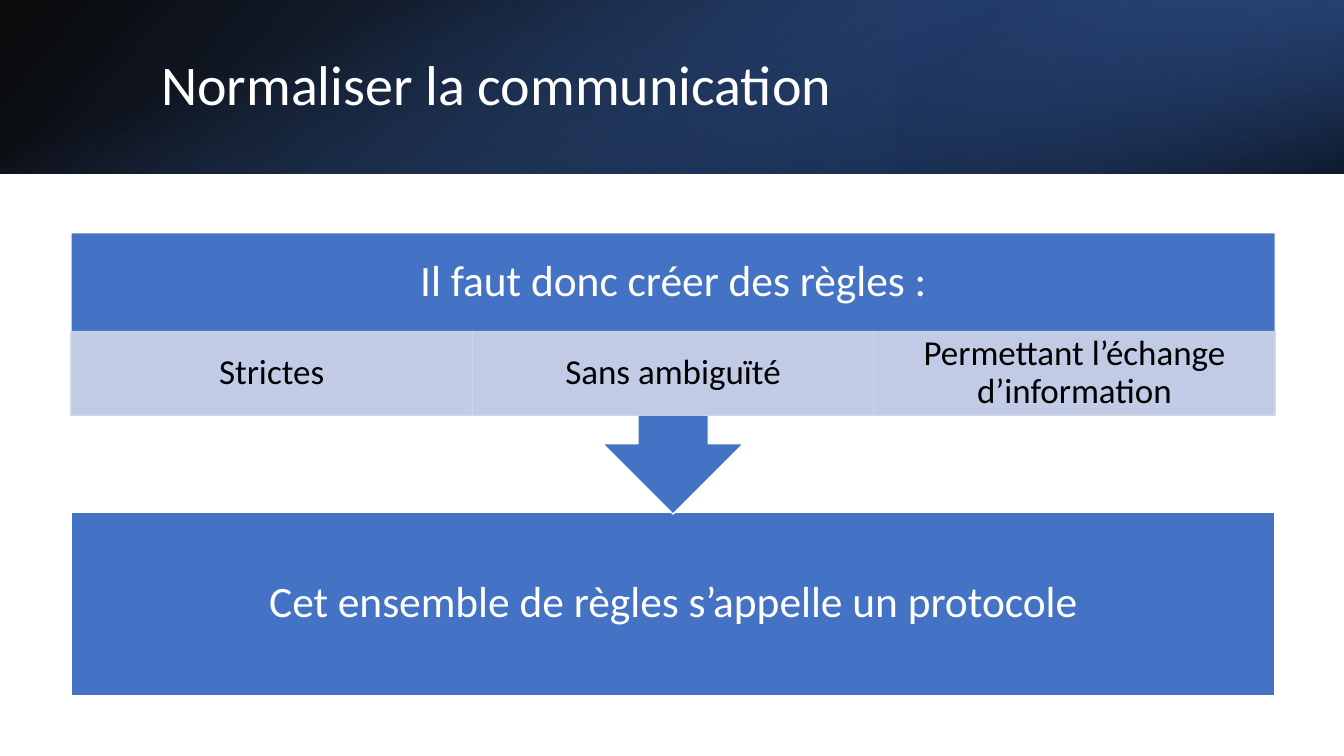
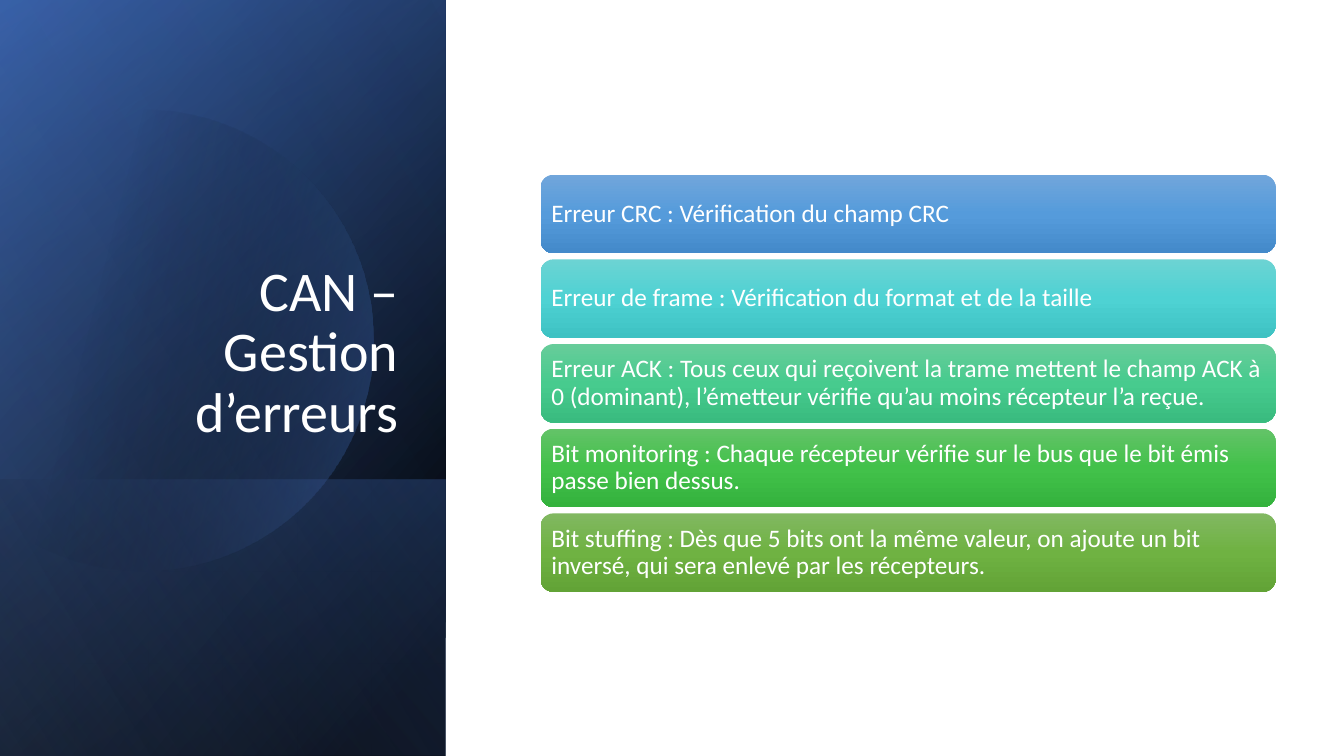
from dataclasses import dataclass
from math import acos, cos, sin

from lxml import etree
from pptx import Presentation
from pptx.dml.color import RGBColor
from pptx.enum.shapes import MSO_SHAPE
from pptx.enum.text import MSO_ANCHOR, MSO_AUTO_SIZE, PP_ALIGN
from pptx.oxml.ns import qn
from pptx.util import Inches, Pt

RECTANGLE = MSO_SHAPE.RECTANGLE
ROUNDED = MSO_SHAPE.ROUNDED_RECTANGLE
CALLOUT = MSO_SHAPE.DOWN_ARROW_CALLOUT
MIDDLE, BOTTOM = MSO_ANCHOR.MIDDLE, MSO_ANCHOR.BOTTOM
LEFT, CENTER, RIGHT = PP_ALIGN.LEFT, PP_ALIGN.CENTER, PP_ALIGN.RIGHT
NO_AUTOFIT = MSO_AUTO_SIZE.NONE
FONT = "Calibri"
TITLE_SIZE = 40
TITLE_ONLY = 5
COLORS = {
    "white": "FFFFFF",
    "black": "000000",
    "blue": "4472C4",
    "deep": "2F5597",
    "navy": "203864",
    "sky": "8FAADC",
    "pale": "CFD5EA",
}
ERRORS = [
    ("Erreur CRC : Vérification du champ CRC", ("71A6DB", "559BDB", "448ACA")),
    ("Erreur de frame : Vérification du format et de la taille",
     ("6CD3D3", "4ED2D3", "3EC2C3")),
    ("Erreur ACK : Tous ceux qui reçoivent la trame mettent le champ ACK à 0 "
     "(dominant), l’émetteur vérifie qu’au moins récepteur l’a reçue.",
     ("67CC9A", "47CB8E", "39BB7F")),
    ("Bit monitoring : Chaque récepteur vérifie sur le bus que le bit émis "
     "passe bien dessus.", ("63C368", "42C14A", "34B23D")),
    ("Bit stuffing : Dès que 5 bits ont la même valeur, on ajoute un bit "
     "inversé, qui sera enlevé par les récepteurs.",
     ("81B861", "6FB242", "62A336")),
]


@dataclass
class Box:
    left: float
    top: float
    width: float
    height: float

    def percent(self, left, top, width, height):
        return Box(self.left + self.width * left / 100,
                   self.top + self.height * top / 100,
                   self.width * width / 100, self.height * height / 100)

    def turned(self):
        shift = (self.width - self.height) / 2
        return Box(self.left + shift, self.top - shift, self.height, self.width)

    def inches(self):
        return [Inches(length) for length in
                (self.left, self.top, self.width, self.height)]


PAGE = Box(0, 0, 13.33, 7.5)


def set_alpha(color_element, percent):
    alpha = etree.SubElement(color_element, qn("a:alpha"))
    alpha.set("val", str(percent * 1000))


def fill_gradient(shape, stops, angle):
    shape.fill.gradient()
    gradient = shape.element.spPr.find(qn("a:gradFill"))
    gradient.clear()
    gradient.set("rotWithShape", "1")
    stop_list = etree.SubElement(gradient, qn("a:gsLst"))
    for position, color, alpha in stops:
        stop = etree.SubElement(stop_list, qn("a:gs"), pos=str(position * 1000))
        value = etree.SubElement(stop, qn("a:srgbClr"),
                                 val=COLORS.get(color, color))
        if alpha < 100:
            set_alpha(value, alpha)
    etree.SubElement(gradient, qn("a:lin"), ang=str(angle * 60000), scaled="0")


def add_plain(slide, kind, box):
    shape = slide.shapes.add_shape(kind, *box.inches())
    shape.shadow.inherit = False
    shape.line.fill.background()
    return shape


def add_solid(slide, kind, box, color, alpha=100):
    shape = add_plain(slide, kind, box)
    shape.line.width = Pt(1)
    for paint, name in ((shape.fill, color),
                        (shape.line.fill, "white" if alpha == 100 else color)):
        paint.solid()
        paint.fore_color.rgb = RGBColor.from_string(COLORS[name])
    if alpha < 100:
        for value in shape.element.spPr.iter(qn("a:srgbClr")):
            set_alpha(value, alpha)
    return shape


def add_layer(slide, box, stops, angle, turn=0, flip=True):
    frame = box.turned() if turn == 90 else box
    layer = add_plain(slide, RECTANGLE, frame)
    layer.rotation = turn
    if flip:
        layer.element.spPr.find(qn("a:xfrm")).set("flipH", "1")
    fill_gradient(layer, stops, angle)


def write(shape, text, size, color="white", align=CENTER, anchor=MIDDLE,
          insets=(0.1, 0.05, 0.1, 0.05)):
    frame = shape.text_frame
    frame.text = text
    frame.word_wrap = True
    frame.auto_size = NO_AUTOFIT
    frame.vertical_anchor = anchor
    (frame.margin_left, frame.margin_top,
     frame.margin_right, frame.margin_bottom) = map(Inches, insets)
    para = frame.paragraphs[0]
    para.alignment = align
    para.line_spacing = 0.9
    for span in para.runs:
        span.font.name = FONT
        span.font.size = Pt(size)
        span.font.color.rgb = RGBColor.from_string(COLORS[color])


def place_title(slide, box, text, align, anchor):
    title = slide.shapes.title
    title.left, title.top, title.width, title.height = box.inches()
    write(title, text, TITLE_SIZE, align=align, anchor=anchor)
    title.element.getparent().append(title.element)


def add_header(slide, box, text):
    add_layer(slide, box, [(0, "black", 96), (100, "deep", 100)], 140)
    add_layer(slide, box.percent(66.67, 0, 33.33, 100),
              [(19, "navy", 68), (100, "blue", 79)], 320, turn=180)
    add_layer(slide, box, [(23, "blue", 0), (99, "black", 74)], 340,
              turn=90, flip=False)
    place_title(slide, box.percent(11.25, 22, 82.4, 56), text, LEFT, MIDDLE)


def add_rules(slide, box, heading, rules, conclusion):
    result = add_solid(slide, RECTANGLE, box.percent(0, 60.35, 100, 39.65), "blue")
    write(result, conclusion, 31, insets=[0.24] * 4)
    callout = add_solid(slide, CALLOUT, box.percent(0, 0, 100, 60.8), "blue")
    strip = box.percent(0, 21.35, 100, 18.1)
    write(callout, heading, 31, insets=(0.24, 0, 0.24, strip.height))
    column = 100 / len(rules)
    for index, rule in enumerate(rules):
        cell = add_solid(slide, RECTANGLE,
                         strip.percent(index * column, 0, column, 100), "pale", 90)
        write(cell, rule, 25, "black", insets=(0.19, 0.03, 0.19, 0.03))


def add_disc(slide, box):
    radius = box.height * 0.305
    center_x, center_y = box.left + box.width * 0.32, box.top + box.height * 0.45
    limit = acos((box.left - center_x) / radius)
    steps = 90
    angles = [limit * (2 * step / steps - 1) for step in range(steps + 1)]
    points = [(Inches(center_x + radius * cos(angle)),
               Inches(center_y + radius * sin(angle))) for angle in angles]
    builder = slide.shapes.build_freeform(*points[0])
    builder.add_line_segments(points[1:], close=True)
    disc = builder.convert_to_shape()
    disc.shadow.inherit = False
    disc.line.fill.background()
    fill_gradient(disc, [(29, "black", 0), (100, "blue", 43)], 14)


def add_sidebar(slide, box, text):
    add_layer(slide, box, [(8, "black", 100), (100, "deep", 100)], 50, turn=90)
    add_layer(slide, box, [(0, "black", 0), (99, "blue", 46)], 30, turn=90)
    add_layer(slide, box.percent(0, 63.47, 100, 36.53),
              [(2, "blue", 29), (100, "black", 30)], 130, turn=90)
    add_disc(slide, box)
    add_layer(slide, box, [(0, "black", 0), (99, "sky", 11)], 120, turn=90)
    place_title(slide, box.percent(14.5, 24.53, 77.15, 34.93), text, RIGHT, BOTTOM)


def add_cards(slide, box, cards):
    gap = 1.45
    height = (100 - gap * (len(cards) - 1)) / len(cards)
    for index, (text, colors) in enumerate(cards):
        card = add_plain(slide, ROUNDED,
                         box.percent(0, index * (height + gap), 100, height))
        stops = [(place, color, 100)
                 for place, color in zip((0, 50, 100), colors)]
        fill_gradient(card, stops, 90)
        write(card, text, 18, align=LEFT, insets=[0.07] * 4)


def new_slide(deck):
    return deck.slides.add_slide(deck.slide_layouts[TITLE_ONLY])


def build_rules_slide(deck):
    slide = new_slide(deck)
    add_header(slide, PAGE.percent(0, 0, 100, 23), "Normaliser la communication")
    add_rules(slide, PAGE.percent(5.28, 30.8, 89.6, 61.2),
              "Il faut donc créer des règles :",
              ["Strictes", "Sans ambiguïté", "Permettant l’échange d’information"],
              "Cet ensemble de règles s’appelle un protocole")


def build_errors_slide(deck):
    slide = new_slide(deck)
    add_sidebar(slide, PAGE.percent(0, 0, 33.16, 100), "CAN – Gestion d’erreurs")
    add_cards(slide, PAGE.percent(40.22, 23.1, 54.7, 55.2), ERRORS)


def main():
    deck = Presentation()
    deck.slide_width, deck.slide_height = Inches(PAGE.width), Inches(PAGE.height)
    build_rules_slide(deck)
    build_errors_slide(deck)
    deck.save("out.pptx")


if __name__ == "__main__":
    main()
